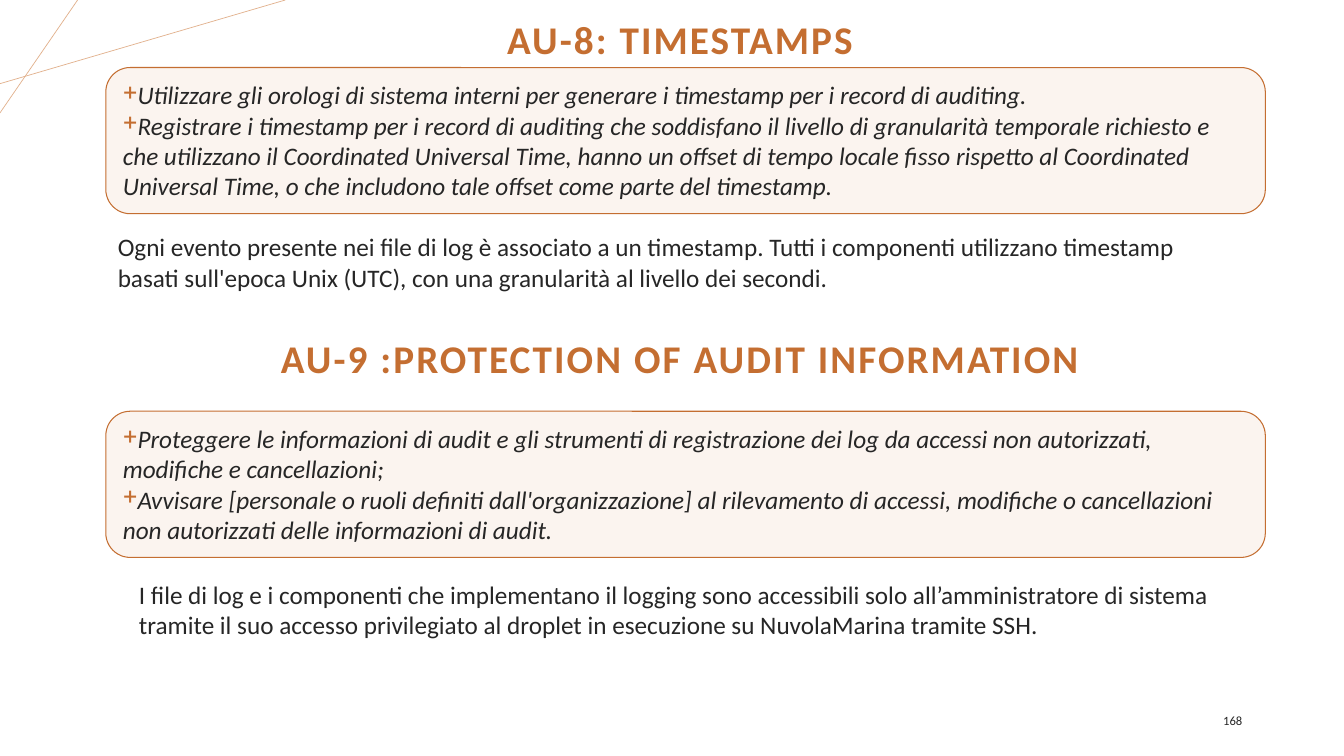
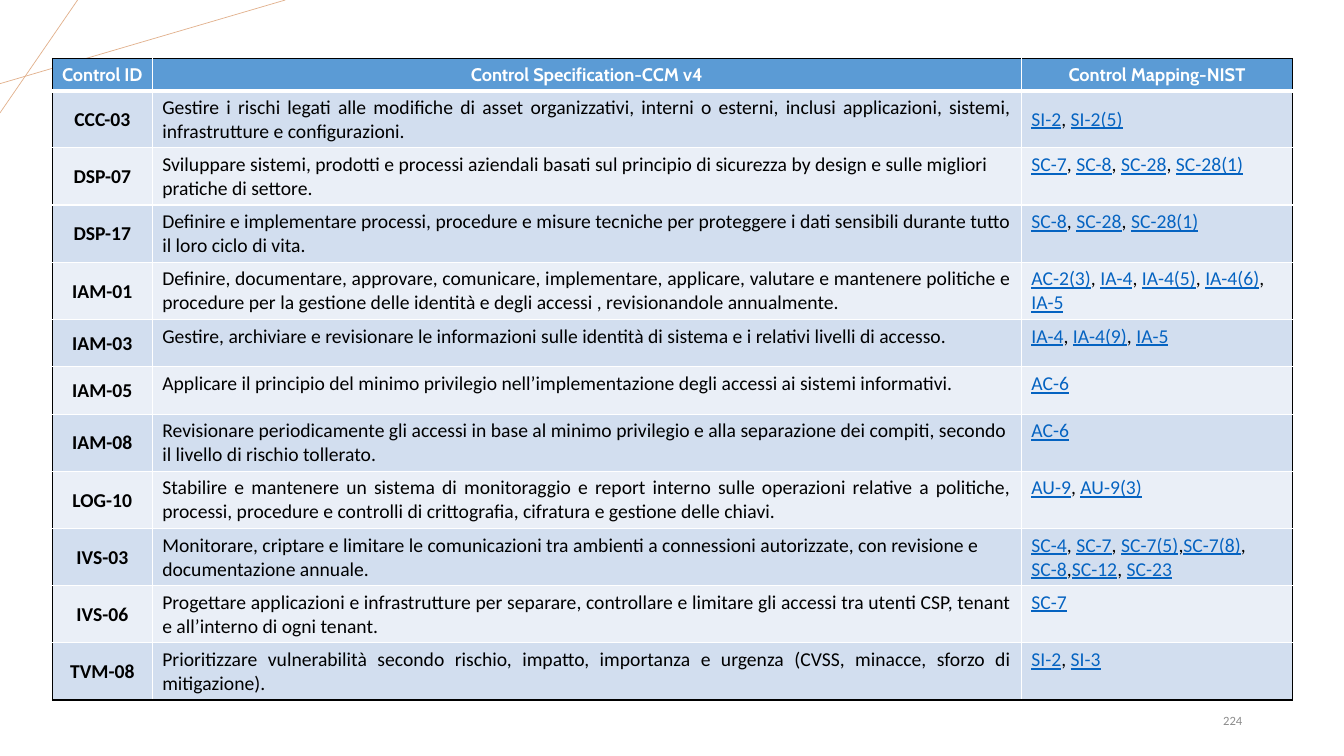
from lxml import etree
from pptx import Presentation
from pptx.dml.color import RGBColor
from pptx.enum.shapes import MSO_CONNECTOR, MSO_SHAPE
from pptx.enum.text import MSO_ANCHOR, MSO_AUTO_SIZE, PP_ALIGN
from pptx.oxml.ns import qn
from pptx.util import Inches, Pt

LEFT, CENTER, RIGHT, JUSTIFY = PP_ALIGN.LEFT, PP_ALIGN.CENTER, PP_ALIGN.RIGHT, PP_ALIGN.JUSTIFY
TOP, MIDDLE = MSO_ANCHOR.TOP, MSO_ANCHOR.MIDDLE
NO_AUTOFIT = MSO_AUTO_SIZE.NONE
STRAIGHT = MSO_CONNECTOR.STRAIGHT
ROUNDED = MSO_SHAPE.ROUNDED_RECTANGLE

ACCENT = RGBColor(0xC4, 0x6E, 0x31)
RAY = RGBColor(0xE2, 0xB1, 0x8D)
PANEL = RGBColor(0xFB, 0xF4, 0xEF)
INK = RGBColor(0x26, 0x26, 0x26)
GREY = RGBColor(0x8C, 0x8C, 0x8C)
BLACK = RGBColor(0, 0, 0)
WHITE = RGBColor(0xFF, 0xFF, 0xFF)
HEADER = RGBColor(0x5B, 0x9B, 0xD5)
BANDS = (RGBColor(0xD2, 0xDE, 0xEF), RGBColor(0xEA, 0xEF, 0xF7))
LINK = RGBColor(0x05, 0x63, 0xC1)

BODY_FONT, HEADER_FONT = "Calibri", "Cabin"
TITLE_ONLY, BLANK = 5, 6
RAYS = (((0, 0.83), (2.83, 0)), ((0.77, 0), (0, 1.12)))

COLUMN_WIDTHS = (0.99, 8.62, 2.69)
COLUMN_TITLES = ("Control ID", "Control Specification-CCM v4", "Control Mapping-NIST")
HEADER_HEIGHT = 0.32
# Control, specification, alignment, mapped controls, row height
CONTROLS = (
    ("CCC-03", "Gestire i rischi legati alle modifiche di asset organizzativi, interni o esterni, "
     "inclusi applicazioni, sistemi, infrastrutture e configurazioni.",
     JUSTIFY, "SI-2, SI-2(5)", 0.53),
    ("DSP-07", "Sviluppare sistemi, prodotti e processi aziendali basati sul principio di "
     "sicurezza by design e sulle migliori pratiche di settore.",
     LEFT, "SC-7, SC-8, SC-28, SC-28(1)", 0.53),
    ("DSP-17", "Definire e implementare processi, procedure e misure tecniche per proteggere "
     "i dati sensibili durante tutto il loro ciclo di vita.",
     JUSTIFY, "SC-8, SC-28, SC-28(1)", 0.53),
    ("IAM-01", "Definire, documentare, approvare, comunicare, implementare, applicare, valutare "
     "e mantenere politiche e procedure per la gestione delle identità e degli accessi , "
     "revisionandole annualmente.",
     JUSTIFY, "AC-2(3), IA-4, IA-4(5), IA-4(6), IA-5", 0.53),
    ("IAM-03", "Gestire, archiviare e revisionare le informazioni sulle identità di sistema "
     "e i relativi livelli di accesso.",
     LEFT, "IA-4, IA-4(9), IA-5", 0.47),
    ("IAM-05", "Applicare il principio del minimo privilegio nell’implementazione degli accessi "
     "ai sistemi informativi.",
     LEFT, "AC-6", 0.47),
    ("IAM-08", "Revisionare periodicamente gli accessi in base al minimo privilegio e alla "
     "separazione dei compiti, secondo il livello di rischio tollerato.",
     LEFT, "AC-6", 0.53),
    ("LOG-10", "Stabilire e mantenere un sistema di monitoraggio e report interno sulle "
     "operazioni relative a politiche, processi, procedure e controlli di crittografia, "
     "cifratura e gestione delle chiavi.",
     JUSTIFY, "AU-9, AU-9(3)", 0.53),
    ("IVS-03", "Monitorare, criptare e limitare le comunicazioni tra ambienti a connessioni "
     "autorizzate, con revisione e documentazione annuale.",
     LEFT, "SC-4, SC-7, SC-7(5),SC-7(8), SC-8,SC-12, SC-23", 0.53),
    ("IVS-06", "Progettare applicazioni e infrastrutture per separare, controllare e limitare "
     "gli accessi tra utenti CSP, tenant e all’interno di ogni tenant.",
     JUSTIFY, "SC-7", 0.53),
    ("TVM-08", "Prioritizzare vulnerabilità secondo rischio, impatto, importanza e urgenza "
     "(CVSS, minacce, sforzo di mitigazione).",
     JUSTIFY, "SI-2, SI-3", 0.53),
)


def set_font(paragraph, size, color, bold=False, italic=False, name=BODY_FONT):
    font = paragraph.font
    font.name, font.size, font.bold, font.italic = name, Pt(size), bold, italic
    font.color.rgb = color


def add_plus_bullet(paragraph):
    properties = paragraph._p.get_or_add_pPr()
    properties.set("marL", "0")
    properties.set("indent", "0")
    bullet_color = etree.SubElement(properties, qn("a:buClr"))
    etree.SubElement(bullet_color, qn("a:srgbClr"), val=str(ACCENT))
    etree.SubElement(properties, qn("a:buChar"), char="+")


def set_borders(cell, **sides):
    """Draw the sides, given as L, R, T, B in that order, each a colour and a width."""
    properties = cell._tc.get_or_add_tcPr()
    for side, (color, width) in sides.items():
        border = etree.SubElement(properties, qn(f"a:ln{side}"), w=str(Pt(width)))
        fill = etree.SubElement(border, qn("a:solidFill"))
        etree.SubElement(fill, qn("a:srgbClr"), val=str(color))


class Deck:
    def __init__(self):
        self.presentation = Presentation()
        self.presentation.slide_width = Inches(13.33)
        self.presentation.slide_height = Inches(7.5)
        self.slide = None

    def new_slide(self, layout, number, number_color):
        self.slide = self.presentation.slides.add_slide(
            self.presentation.slide_layouts[layout])
        for start, end in RAYS:
            ray = self.slide.shapes.add_connector(
                STRAIGHT, *(Inches(value) for value in start + end))
            ray.line.color.rgb = RAY
            ray.line.width = Pt(0.5)
            etree.SubElement(ray._element.spPr, qn("a:effectLst"))
        page = self.text(str(number), 9.42, 6.95, 3, 0.4, 9, number_color, MIDDLE)
        page.alignment = RIGHT

    def text(self, words, left, top, width, height, size=18, color=INK, anchor=TOP):
        box = self.slide.shapes.add_textbox(
            Inches(left), Inches(top), Inches(width), Inches(height))
        frame = box.text_frame
        frame.word_wrap = True
        frame.vertical_anchor = anchor
        paragraph = frame.paragraphs[0]
        paragraph.text = words
        set_font(paragraph, size, color)
        return paragraph

    def style_heading(self, paragraph):
        paragraph.alignment = CENTER
        paragraph.line_spacing = 0.9
        set_font(paragraph, 28, ACCENT, bold=True)
        paragraph.runs[0]._r.get_or_add_rPr().set("spc", "150")

    def title(self, words, top, height):
        title = self.slide.shapes.title
        title.left, title.top = Inches(1.05), Inches(top)
        title.width, title.height = Inches(11.5), Inches(height)
        frame = title.text_frame
        frame.text = words
        frame.auto_size = NO_AUTOFIT
        frame.vertical_anchor = MIDDLE
        self.style_heading(frame.paragraphs[0])

    def second_heading(self, words, top, height):
        self.style_heading(self.text(words, 1.05, top, 11.5, height, anchor=MIDDLE))

    def requirements(self, items, top):
        panel = self.slide.shapes.add_shape(
            ROUNDED, Inches(1.05), Inches(top), Inches(11.5), Inches(1.45))
        panel.shadow.inherit = False
        panel.fill.solid()
        panel.fill.fore_color.rgb = PANEL
        panel.line.color.rgb = ACCENT
        panel.line.width = Pt(0.75)
        frame = panel.text_frame
        frame.word_wrap = True
        frame.vertical_anchor = TOP
        frame.text = "\n".join(items)
        for paragraph in frame.paragraphs:
            paragraph.alignment = LEFT
            add_plus_bullet(paragraph)
            set_font(paragraph, 18, INK, italic=True)

    def control_table(self):
        heights = [HEADER_HEIGHT] + [control[-1] for control in CONTROLS]
        table = self.slide.shapes.add_table(
            len(heights), len(COLUMN_WIDTHS), Inches(0.52), Inches(0.58),
            Inches(sum(COLUMN_WIDTHS)), Inches(sum(heights))).table
        table.first_row = table.horz_banding = False
        for column, width in zip(table.columns, COLUMN_WIDTHS):
            column.width = Inches(width)
        for row, height in zip(table.rows, heights):
            row.height = Inches(height)
        self.frame_cells(table)

        for column, words in enumerate(COLUMN_TITLES):
            self.label_cell(table.cell(0, column), words, 13, WHITE, HEADER_FONT)
        for row, (control, specification, alignment, mapping, _) in enumerate(CONTROLS, 1):
            self.label_cell(table.cell(row, 0), control, 14, BLACK, BODY_FONT)
            paragraph = table.cell(row, 1).text_frame.paragraphs[0]
            paragraph.text = specification
            paragraph.alignment = alignment
            set_font(paragraph, 14, BLACK)
            self.link_cell(table.cell(row, 2), mapping)
        table.cell(1, 2).vertical_anchor = MIDDLE

    def frame_cells(self, table):
        """Fill the bands, with a black outer frame and white inner rules."""
        last_row, last_column = len(table.rows) - 1, len(table.columns) - 1
        outer, inner, header_rule = (BLACK, 1), (WHITE, 1), (WHITE, 3)
        for row in range(last_row + 1):
            above = {0: outer, 1: header_rule}.get(row, inner)
            below = {0: header_rule, last_row: outer}.get(row, inner)
            for column in range(last_column + 1):
                cell = table.cell(row, column)
                set_borders(cell,
                            L=inner if column else outer,
                            R=outer if column == last_column else inner,
                            T=above, B=below)
                cell.fill.solid()
                cell.fill.fore_color.rgb = BANDS[(row - 1) % 2] if row else HEADER

    def label_cell(self, cell, words, size, color, font_name):
        cell.margin_left = cell.margin_top = cell.margin_right = Inches(0.01)
        cell.margin_bottom = 0
        cell.vertical_anchor = MIDDLE
        paragraph = cell.text_frame.paragraphs[0]
        paragraph.text = words
        paragraph.alignment = CENTER
        set_font(paragraph, size, color, bold=True, name=font_name)

    def link_cell(self, cell, mapping):
        """Underline each code of a comma-separated list, leaving the commas plain."""
        paragraph = cell.text_frame.paragraphs[0]
        set_font(paragraph, 14, BLACK)
        for index, part in enumerate(mapping.split(",")):
            code = part.strip()
            if index:
                paragraph.add_run().text = ", " if part != code else ","
            link = paragraph.add_run()
            link.text = code
            link.font.underline = True
            link.font.color.rgb = LINK


def main():
    deck = Deck()

    deck.new_slide(TITLE_ONLY, 168, INK)
    deck.title("AU-8: TIMESTAMPS ", 0.05, 0.72)
    deck.requirements((
        "Utilizzare gli orologi di sistema interni per generare i timestamp per i record "
        "di auditing.",
        "Registrare i timestamp per i record di auditing che soddisfano il livello di "
        "granularità temporale richiesto e che utilizzano il Coordinated Universal Time, "
        "hanno un offset di tempo locale fisso rispetto al Coordinated Universal Time, "
        "o che includono tale offset come parte del timestamp."), 0.67)
    deck.text(
        "Ogni evento presente nei file di log è associato a un timestamp. Tutti i componenti "
        "utilizzano timestamp basati sull'epoca Unix (UTC), con una granularità al livello "
        "dei secondi.", 1.07, 2.25, 11.2, 0.71)
    deck.second_heading("AU-9 :PROTECTION OF AUDIT INFORMATION ", 3.09, 0.98)
    deck.requirements((
        "Proteggere le informazioni di audit e gli strumenti di registrazione dei log da "
        "accessi non autorizzati, modifiche e cancellazioni;",
        "Avvisare [personale o ruoli definiti dall'organizzazione] al rilevamento di accessi, "
        "modifiche o cancellazioni non autorizzati delle informazioni di audit."), 4.08)
    deck.text(
        "I file di log e i componenti che implementano il logging sono accessibili solo "
        "all’amministratore di sistema tramite il suo accesso privilegiato al droplet in "
        "esecuzione su NuvolaMarina tramite SSH.", 1.28, 5.7, 11.04, 0.71)

    deck.new_slide(BLANK, 224, GREY)
    deck.control_table()

    deck.presentation.save("out.pptx")


if __name__ == "__main__":
    main()
